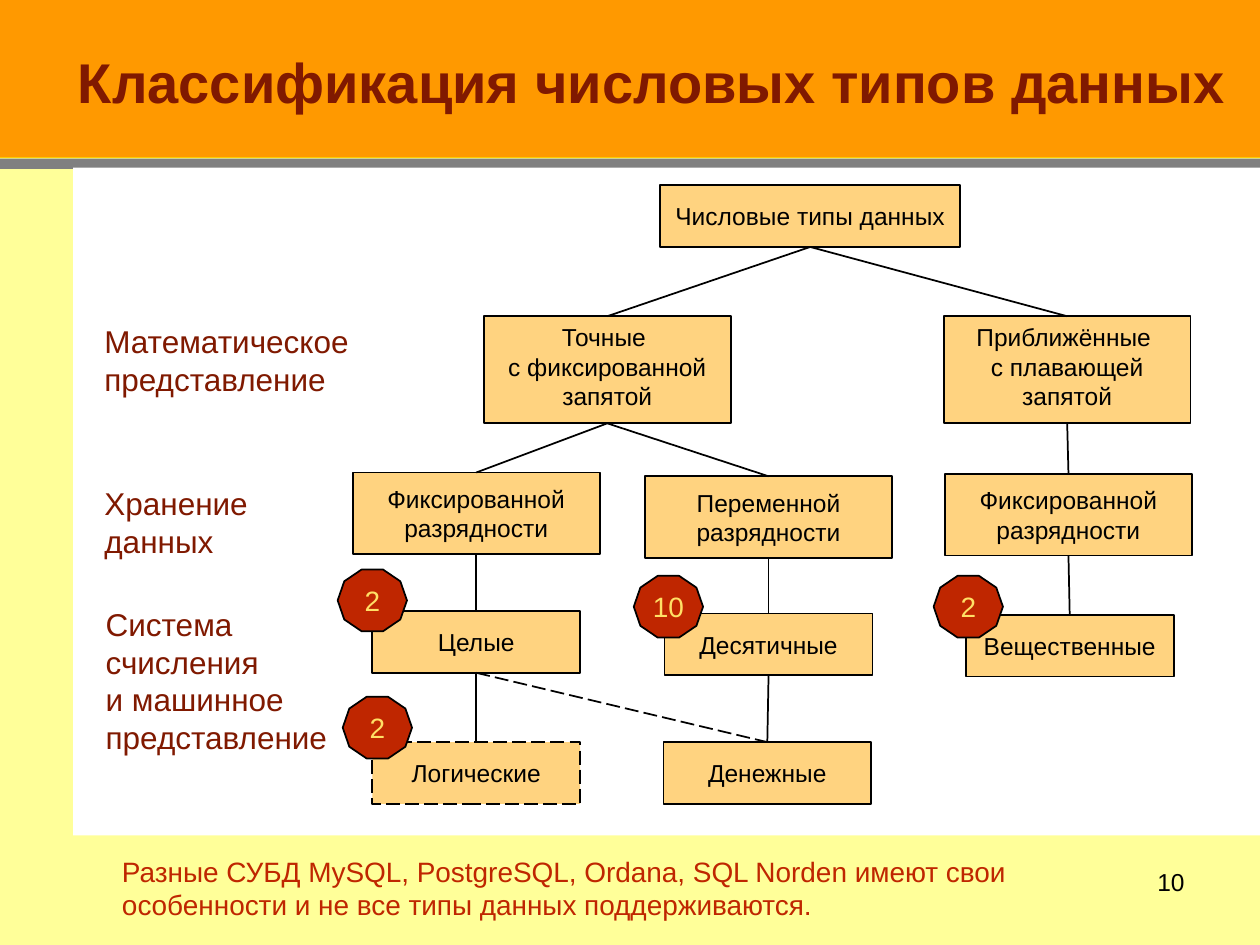
from lxml.etree import SubElement
from pptx import Presentation
from pptx.dml.color import RGBColor
from pptx.enum.dml import MSO_LINE
from pptx.enum.shapes import MSO_CONNECTOR, MSO_SHAPE
from pptx.enum.text import MSO_ANCHOR as ANCHOR, PP_ALIGN as ALIGN
from pptx.oxml.ns import qn
from pptx.util import Inches, Pt

# Content: background bands (left, top, width, height, fill)
BANDS = [
    (0, 0, 10, 1.25, "FF9900"),
    (0, 1.25, 10, 6.25, "FFFF99"),
    (0, 1.26, 10, 0.08, "808080"),
    (0.58, 1.33, 9.42, 5.3, "FFFFFF"),
]

# Box sizes by level of the tree
SIZES = {"root": (2.38, 0.49), "math": (1.96, 0.85),
         "store": (1.96, 0.65), "type": (1.65, 0.49)}

# Nodes: key -> (level, centre x, top, text)
NODES = {
    "numeric": ("root", 6.43, 1.47, "Числовые типы данных"),
    "exact": ("math", 4.82, 2.51, "Точные \nс фиксированной запятой"),
    "approx": ("math", 8.47, 2.51, "Приближённые \nс плавающей запятой"),
    "fixed": ("store", 3.78, 3.75, "Фиксированной разрядности"),
    "variable": ("store", 6.1, 3.78, "Переменной разрядности"),
    "float": ("store", 8.48, 3.76, "Фиксированной разрядности"),
    "integer": ("type", 3.78, 4.85, "Целые"),
    "decimal": ("type", 6.1, 4.87, "Десятичные"),
    "real": ("type", 8.49, 4.88, "Вещественные"),
    "logical": ("type", 3.78, 5.89, "Логические"),
    "money": ("type", 6.09, 5.89, "Денежные"),
}
DASHED_NODES = {"logical"}

# Links: parent, child, dashed
LINKS = [
    ("numeric", "exact", False), ("numeric", "approx", False),
    ("exact", "fixed", False), ("exact", "variable", False),
    ("approx", "float", False), ("fixed", "integer", False),
    ("variable", "decimal", False), ("float", "real", False),
    ("integer", "logical", False), ("decimal", "money", False),
    ("integer", "money", True),
]

# Number base badges: left, top, text
BADGES = [(2.68, 4.52, "2"), (5.03, 4.57, "10"),
          (7.41, 4.57, "2"), (2.72, 5.53, "2")]

# Text formats
TITLE = {"size": Pt(32), "bold": True, "color": "801900"}
LABEL = {"size": Pt(18), "color": "801900"}
NOTE = {"size": Pt(16), "color": "BF2600"}
NODE = {"size": Pt(14), "color": "000000"}
BADGE = {"size": Pt(16), "color": "FFE066"}

# Free texts: left, top, width, height, text, format, alignment
TEXTS = [
    (0.52, 0.33, 9.44, 0.64, "Классификация числовых типов данных", TITLE, ALIGN.LEFT),
    (0.73, 2.51, 2.29, 0.71, "Математическое представление", LABEL, ALIGN.LEFT),
    (0.73, 3.79, 1.58, 0.71, "Хранение данных", LABEL, ALIGN.LEFT),
    (0.74, 4.75, 2.59, 1.31, "Система \nсчисления \nи машинное представление",
     LABEL, ALIGN.LEFT),
    (0.87, 6.73, 8.24, 0.64,
     "Разные СУБД MySQL, PostgreSQL, Ordana, SQL Norden имеют свои "
     "особенности и не все типы данных поддерживаются.", NOTE, ALIGN.LEFT),
    (7.17, 6.83, 2.33, 0.52, "10", NODE, ALIGN.RIGHT),
]

prs = Presentation()
prs.slide_width, prs.slide_height = Inches(10), Inches(7.5)
s = prs.slides.add_slide(prs.slide_layouts[6])


def rgb(value):
    return RGBColor.from_string(value)


def set_line(line, color="000000", dashed=False):
    line.color.rgb = rgb(color)
    line.width = Pt(1)
    if dashed:
        line.dash_style = MSO_LINE.LONG_DASH


def write(sp, text, fmt, align, anchor):
    tf = sp.text_frame
    tf.word_wrap = True
    tf.vertical_anchor = anchor
    p = tf.paragraphs[0]
    p.text = text
    p.alignment = align
    for r in p.runs:
        r.font.name = "Arial"
        for name, value in fmt.items():
            if name == "color":
                r.font.color.rgb = rgb(value)
            else:
                setattr(r.font, name, value)


def add_shape(kind, box, fill):
    sp = s.shapes.add_shape(kind, *map(Inches, box))
    sp.shadow.inherit = False
    sp.fill.solid()
    sp.fill.fore_color.rgb = rgb(fill)
    sp.line.fill.background()
    return sp


def add_line(x1=0, y1=0, x2=0, y2=0, **style):
    c = s.shapes.add_connector(MSO_CONNECTOR.STRAIGHT,
                               *map(Inches, (x1, y1, x2, y2)))
    set_line(c.line, **style)
    SubElement(c._element.spPr, qn("a:effectLst"))
    return c


# Background
for *box, fill in BANDS:
    add_shape(MSO_SHAPE.RECTANGLE, box, fill)
add_line(0, 1.25, 10, 1.25, color="FFCC00")

# Tree nodes
nodes = {}
for key, (level, cx, top, text) in NODES.items():
    w, h = SIZES[level]
    sp = add_shape(MSO_SHAPE.RECTANGLE, (cx - w / 2, top, w, h), "FFD380")
    set_line(sp.line, dashed=key in DASHED_NODES)
    anchor = ANCHOR.TOP if level == "math" else ANCHOR.MIDDLE
    write(sp, text, NODE, ALIGN.CENTER, anchor)
    nodes[key] = sp

# Links from bottom centre (site 2) to top centre (site 0)
for parent, child, dashed in LINKS:
    c = add_line(dashed=dashed)
    c.begin_connect(nodes[parent], 2)
    c.end_connect(nodes[child], 0)

# Number base badges
for left, top, text in BADGES:
    sp = add_shape(MSO_SHAPE.DECAGON, (left, top, 0.55, 0.49), "BF2600")
    set_line(sp.line)
    write(sp, text, BADGE, ALIGN.CENTER, ANCHOR.MIDDLE)

# Title, row labels, note and page number
for *box, text, fmt, align in TEXTS:
    write(s.shapes.add_textbox(*map(Inches, box)), text, fmt, align, ANCHOR.TOP)

prs.save("out.pptx")
